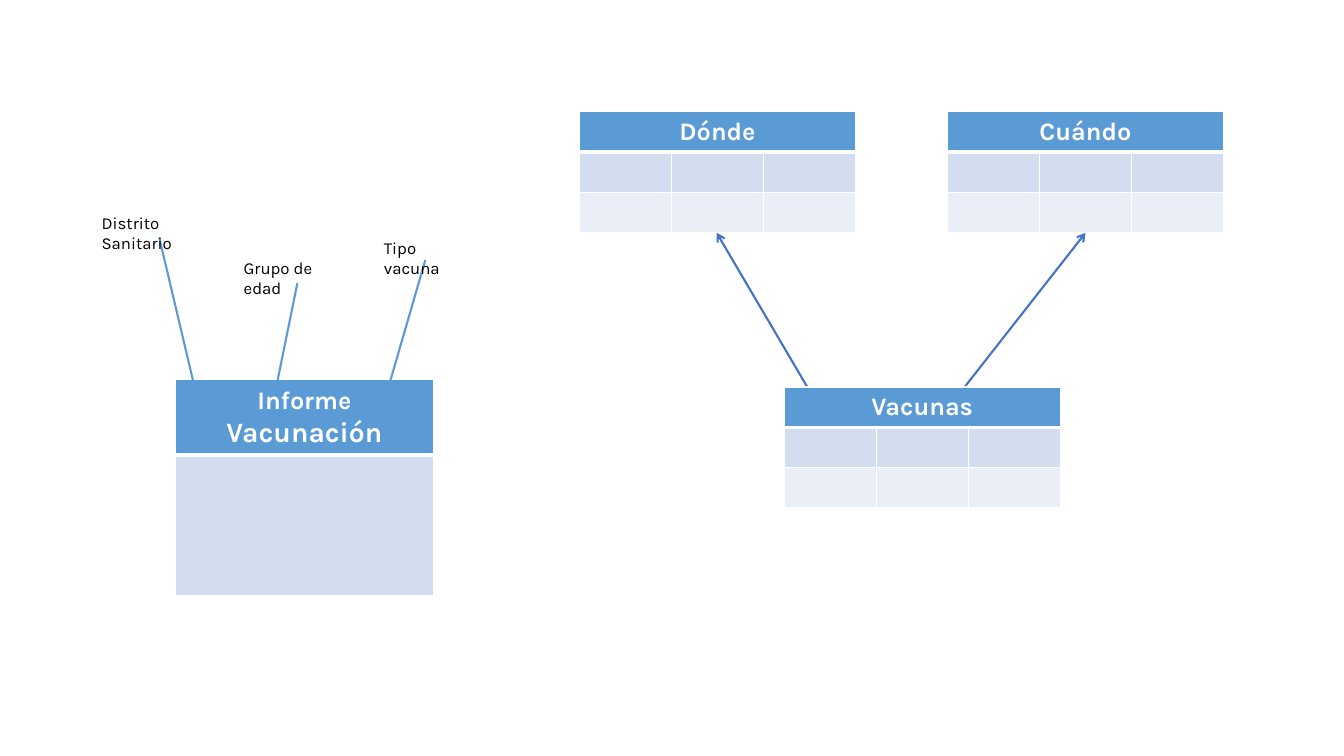
from lxml.etree import SubElement
from pptx import Presentation
from pptx.dml.color import RGBColor
from pptx.enum.shapes import MSO_CONNECTOR
from pptx.enum.text import MSO_AUTO_SIZE, PP_ALIGN
from pptx.oxml.ns import qn
from pptx.util import Pt

COLORS = {
    "header": "5B9BD5", "odd": "D2DEEF", "even": "EAEFF7",
    "arrow": "4472C4", "text": "000000", "white": "FFFFFF",
}
FONT = "Karla"
ROW_FILLS = ["header", "odd", "even"]


def write(para, text, size, color, bold=False):
    span = para.add_run()
    span.text = text
    for name, value in {"name": FONT, "size": Pt(size), "bold": bold}.items():
        setattr(span.font, name, value)
    span.font.color.rgb = RGBColor.from_string(COLORS[color])


def add_entity(left, top, width, columns, heights, title):
    """Add a table with one merged header cell; title is a list of (text, size)."""
    frame = page.shapes.add_table(len(heights), columns, Pt(left), Pt(top),
                                  Pt(width), Pt(sum(heights)))
    table = frame.table
    for column in table.columns:
        column.width = Pt(width / columns)
    for index, height in enumerate(heights):
        table.rows[index].height = Pt(height)
        for cell in table.rows[index].cells:
            if index > 0:
                cell.margin_top = cell.margin_bottom = Pt(2)
            edges = {"lnL": 1, "lnR": 1, "lnT": 3 if index == 1 else 1,
                     "lnB": 3 if index == 0 else 1}
            for edge, weight in edges.items():
                border = SubElement(cell._tc.get_or_add_tcPr(), qn("a:" + edge), w=str(Pt(weight)))
                fill = SubElement(border, qn("a:solidFill"))
                SubElement(fill, qn("a:srgbClr"), val=COLORS["white"])
            cell.fill.solid()
            cell.fill.fore_color.rgb = RGBColor.from_string(COLORS[ROW_FILLS[index]])
    header = table.cell(0, 0)
    if columns > 1:
        header.merge(table.cell(0, columns - 1))
    para = header.text_frame.paragraphs[0]
    para.alignment = PP_ALIGN.CENTER
    for text, size in title:
        write(para, text, size, "white", bold=True)


deck = Presentation()
deck.slide_width, deck.slide_height = Pt(960), Pt(540)
page = deck.slides.add_slide(deck.slide_layouts[6])

# Report table and the three dimensions above it
add_entity(125.3, 270.7, 184.3, 1, [53.6, 101], [("Informe", 18), (" Vacunación", 20)])

# Dimension lines, then relations with arrowheads
lines = [
    (139, 276.5, 113.8, 169.9, "header"),
    (276.5, 280, 303.8, 185.8, "header"),
    (196.6, 280, 212.4, 202.3, "header"),
    (576.7, 276.5, 511.9, 166.3, "arrow"),
    (689, 276.5, 775.4, 166.3, "arrow"),
]
for *ends, color in lines:
    line = page.shapes.add_connector(MSO_CONNECTOR.STRAIGHT, *map(Pt, ends))
    line.line.width = Pt(1.5)
    line.line.color.rgb = RGBColor.from_string(COLORS[color])
    if color == "arrow":
        SubElement(line.line._get_or_add_ln(), qn("a:tailEnd"), type="arrow")
    SubElement(line._element.spPr, qn("a:effectLst"))

labels = [
    ("Distrito Sanitario", 65.5, 148.3, 103.7),
    ("Grupo de edad", 167, 180.7, 90.7),
    ("Tipo vacuna", 267.1, 166.3, 77.8),
]
for text, left, top, width in labels:
    box = page.shapes.add_textbox(Pt(left), Pt(top), Pt(width), Pt(21.6))
    box.text_frame.word_wrap = True
    box.text_frame.auto_size = MSO_AUTO_SIZE.SHAPE_TO_FIT_TEXT
    write(box.text_frame.paragraphs[0], text, 12, "text")

# Related tables
for name, left, top in [("Vacunas", 560.2, 276.5), ("Dónde", 414, 79.9), ("Cuándo", 676.8, 79.9)]:
    add_entity(left, top, 197.1, 3, [28.8] * 3, [(name, 18)])

deck.save("out.pptx")
